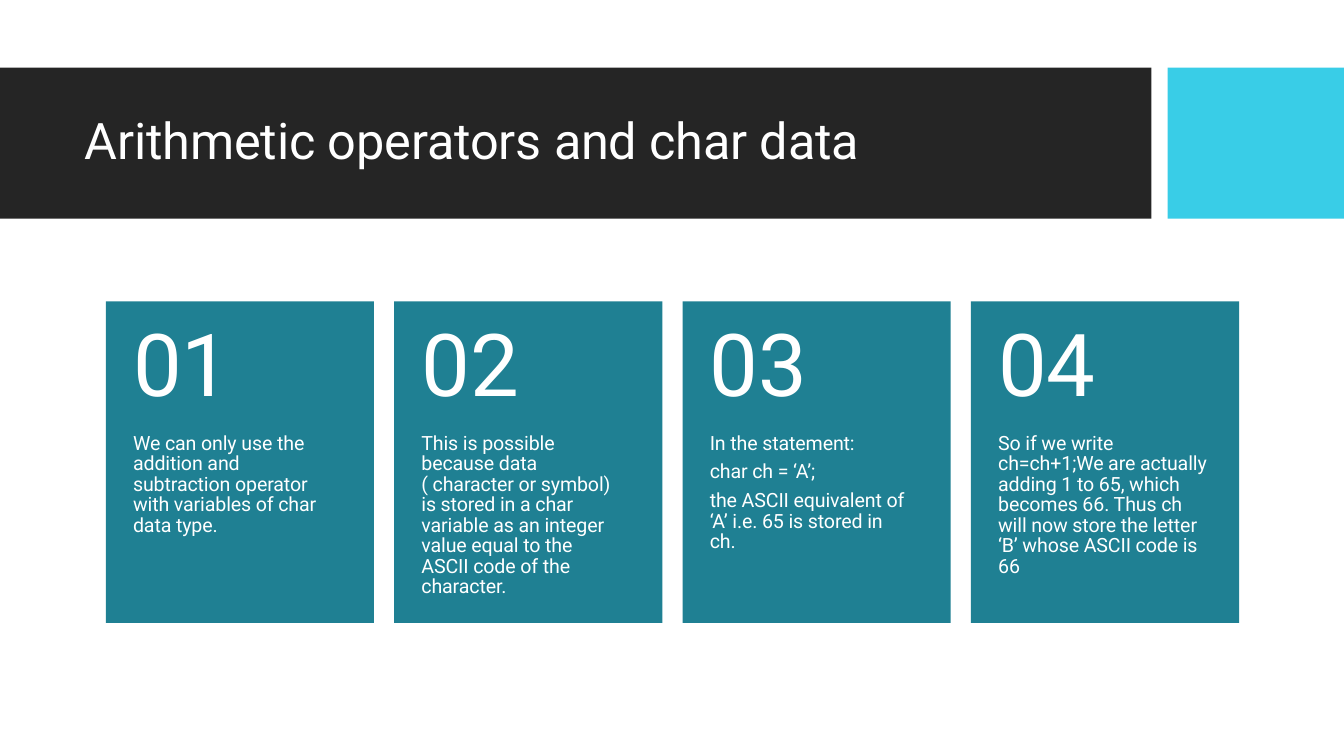
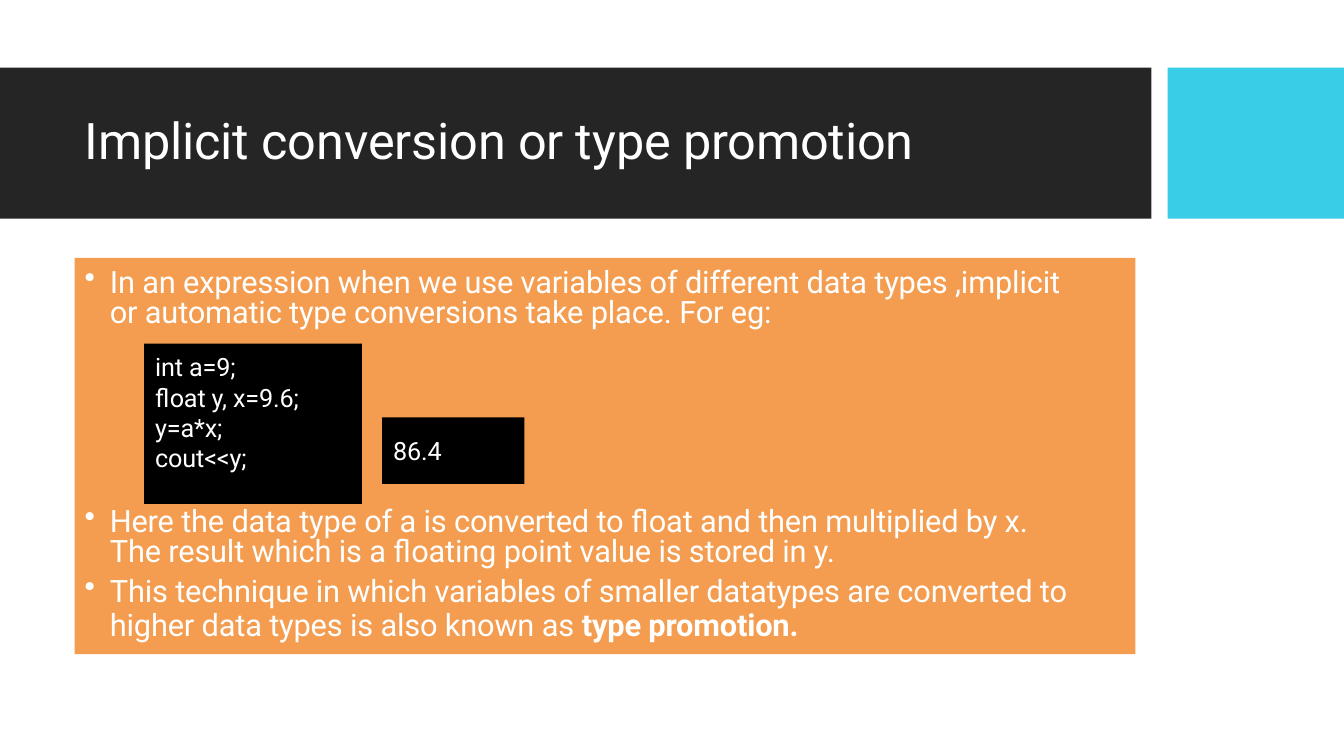
from dataclasses import dataclass

from lxml.etree import SubElement
from pptx import Presentation
from pptx.dml.color import RGBColor
from pptx.enum.shapes import MSO_SHAPE, PP_PLACEHOLDER
from pptx.enum.text import MSO_ANCHOR, MSO_AUTO_SIZE, PP_ALIGN
from pptx.oxml.ns import qn
from pptx.util import Inches, Length, Pt

WHITE = RGBColor(0xFF, 0xFF, 0xFF)
BLACK = RGBColor(0x00, 0x00, 0x00)
CHARCOAL = RGBColor(0x25, 0x25, 0x25)
CYAN = RGBColor(0x39, 0xCD, 0xE7)
TEAL = RGBColor(0x1F, 0x80, 0x93)
ORANGE = RGBColor(0xF4, 0x9D, 0x50)
FONT = "Roboto"
TITLE_ONLY = 5


@dataclass(frozen=True)
class Area:
    left: float
    top: float
    width: float
    height: float

    def lengths(self) -> tuple[Length, ...]:
        return tuple(Inches(n) for n in (self.left, self.top, self.width, self.height))


@dataclass(frozen=True)
class Passage:
    lines: tuple[str, ...]
    before: float = 14.6
    spacing: float | Length = Pt(14.6)


@dataclass(frozen=True)
class Bullet:
    text: str
    spacing: float | Length
    before: float = 0
    bold_ending: str = ""


BANDS = (
    (Area(0, 0.67, 11.42, 1.5), CHARCOAL),
    (Area(11.58, 0.67, 1.75, 1.5), CYAN),
)
CARD = Area(1.05, 2.99, 2.66, 3.19)
CARD_PITCH = 2.86
CARDS = (
    (Passage(("We can only use the", "addition and", "subtraction operator",
              "with variables of char", "data type.")),),
    (Passage(("This is possible", "because data", "( character or symbol)",
              "is stored in a char", "variable as an integer", "value equal to the",
              "ASCII code of the", "character.")),),
    (
        Passage(("In the statement:",), 8.8, 1.21),
        Passage(("char ch = ‘A’;",), 0, 1.21),
        Passage(("the ASCII equivalent of", "‘A’ i.e. 65 is stored in", "ch."), 6),
    ),
    (Passage(("So if we write", "ch=ch+1;We are actually", "adding 1 to 65, which",
              "becomes 66. Thus ch", "will now store the letter",
              "‘B’ whose ASCII code is", "66")),),
)
INTRODUCTION = (
    Bullet("In an expression when we use variables of different data types ,implicit "
           "or automatic type conversions take place. For eg:", 0.8),
)
EXPLANATION = (
    Bullet("Here the data type of a is converted to float and then multiplied by x. "
           "The result which is a floating point value is stored in y.", Pt(21.4)),
    Bullet("This technique in which variables of smaller datatypes are converted to "
           "higher data types is also known as ", Pt(23.8), 4.7, "type promotion."),
)
CODE = ("int a=9;", "float y, x=9.6;", "y=a*x;", "cout<<y;")


def add_panel(page, area: Area, color: RGBColor):
    panel = page.shapes.add_shape(MSO_SHAPE.RECTANGLE, *area.lengths())
    panel.shadow.inherit = False
    panel.fill.solid()
    panel.fill.fore_color.rgb = color
    panel.line.fill.background()
    return panel


def prepare_frame(shape, left: float = 0, top: float = 0, anchor=MSO_ANCHOR.TOP):
    frame = shape.text_frame
    frame.word_wrap = True
    frame.auto_size = MSO_AUTO_SIZE.NONE
    frame.vertical_anchor = anchor
    frame.margin_left, frame.margin_top = Inches(left), Inches(top)
    frame.margin_right = frame.margin_bottom = 0
    return frame


def next_paragraph(frame):
    first = frame.paragraphs[0]
    return frame.add_paragraph() if first.runs else first


def style(para, size: float) -> None:
    para.alignment = PP_ALIGN.LEFT
    para.font.name = FONT
    para.font.size = Pt(size)
    para.font.color.rgb = WHITE
    for span in para.runs:
        span._r.get_or_add_rPr().set("spc", "-10")


def prepare_layout(layout, page) -> None:
    for holder in list(layout.placeholders):
        if holder.placeholder_format.type != PP_PLACEHOLDER.TITLE:
            layout.shapes.element.remove(holder.element)
    for area, color in BANDS:
        layout.shapes.element.insert(2, add_panel(page, area, color).element)


def set_title(page, text: str) -> None:
    title = page.shapes.title
    title.left, title.top, title.width, title.height = Area(0.83, 1.06, 8.5, 0.63).lengths()
    para = prepare_frame(title, 0.01, 0.02).paragraphs[0]
    para.text = text
    style(para, 36)


def add_card(page, index: int, passages: tuple[Passage, ...]) -> None:
    area = Area(CARD.left + index * CARD_PITCH, CARD.top, CARD.width, CARD.height)
    frame = prepare_frame(add_panel(page, area, TEAL), 0.27, 0.08)
    number = next_paragraph(frame)
    number.text = f"{index + 1:02}"
    style(number, 62)
    for passage in passages:
        para = next_paragraph(frame)
        para.text = "\v".join(passage.lines)
        para.line_spacing = passage.spacing
        para.space_before = Pt(passage.before)
        style(para, 14)


def add_bullets(page, area: Area, inset: float, bullets: tuple[Bullet, ...]) -> None:
    frame = prepare_frame(page.shapes.add_textbox(*area.lengths()), top=inset)
    for bullet in bullets:
        para = next_paragraph(frame)
        para.add_run().text = bullet.text
        if bullet.bold_ending:
            ending = para.add_run()
            ending.text = bullet.bold_ending
            ending.font.bold = True
        properties = para._p.get_or_add_pPr()
        properties.set("marL", str(Inches(0.26)))
        properties.set("indent", str(Inches(-0.25)))
        SubElement(properties, qn("a:buChar")).set("char", "•")
        para.line_spacing = bullet.spacing
        para.space_before = Pt(bullet.before)
        style(para, 22)


def add_console(page, area: Area, lines: tuple[str, ...], top: float = 0,
                anchor=MSO_ANCHOR.TOP) -> None:
    frame = prepare_frame(add_panel(page, area, BLACK), 0.11, top, anchor)
    for line in lines:
        para = next_paragraph(frame)
        para.text = line
        style(para, 18)


def build_char_data(page) -> None:
    set_title(page, "Arithmetic operators and char data")
    for index, passages in enumerate(CARDS):
        add_card(page, index, passages)


def build_type_promotion(page) -> None:
    set_title(page, "Implicit conversion or type promotion")
    add_panel(page, Area(0.74, 2.56, 10.52, 3.93), ORANGE)
    add_bullets(page, Area(0.83, 2.51, 9.9, 0.69), 0.17, INTRODUCTION)
    add_bullets(page, Area(0.83, 4.97, 9.9, 1.4), 0.08, EXPLANATION)
    add_console(page, Area(1.43, 3.41, 2.16, 1.59), CODE, 0.08)
    add_console(page, Area(3.79, 4.14, 1.41, 0.66), ("86.4",), anchor=MSO_ANCHOR.MIDDLE)


def main() -> None:
    deck = Presentation()
    deck.slide_width, deck.slide_height = Inches(13.33), Inches(7.5)
    layout = deck.slide_layouts[TITLE_ONLY]
    pages = [deck.slides.add_slide(layout) for _ in range(2)]
    prepare_layout(layout, pages[0])
    build_char_data(pages[0])
    build_type_promotion(pages[1])
    deck.save("out.pptx")


if __name__ == "__main__":
    main()
